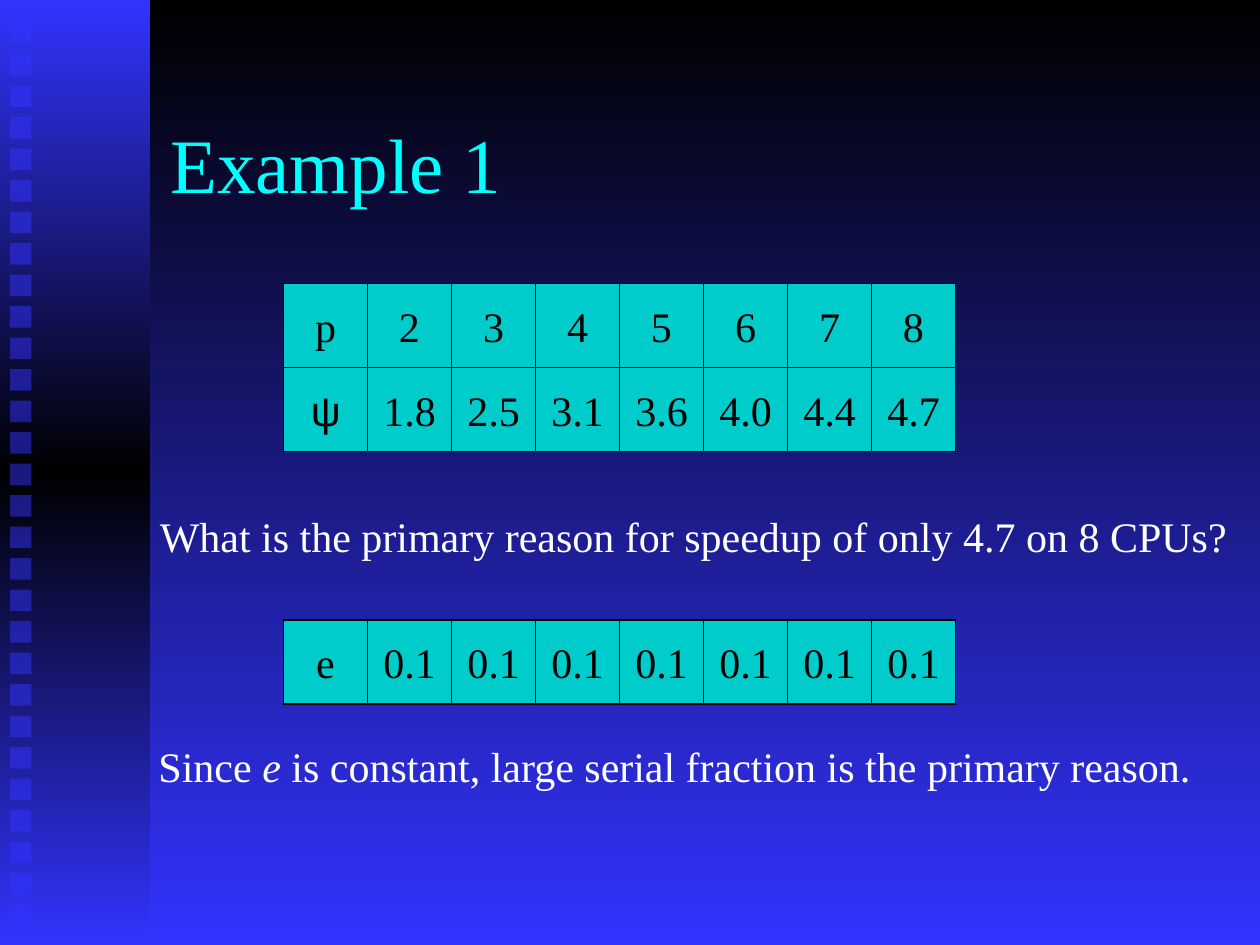
import dataclasses

import pptx
import pptx.dml.color
import pptx.enum.shapes
import pptx.enum.text
import pptx.oxml
import pptx.oxml.ns
import pptx.oxml.xmlchemy
import pptx.util

Inches = pptx.util.Inches
RGBColor = pptx.dml.color.RGBColor
Align = pptx.enum.text.PP_ALIGN
Anchor = pptx.enum.text.MSO_ANCHOR
AutoSize = pptx.enum.text.MSO_AUTO_SIZE

BLACK = RGBColor(0x00, 0x00, 0x00)
WHITE = RGBColor(0xFF, 0xFF, 0xFF)
BLUE = RGBColor(0x33, 0x33, 0xFF)
CYAN = RGBColor(0x00, 0xFF, 0xFF)
TEAL = RGBColor(0x00, 0xCC, 0xCC)

SERIF = "Times New Roman"
CELL_SIZE = 2 / 3
GRID_LEFT = 2.25
SQUARE_COUNT = 30
SQUARE_PITCH = 0.25


@dataclasses.dataclass(frozen=True)
class Row:
    top: float
    values: tuple[str, ...]


@dataclasses.dataclass(frozen=True)
class Label:
    left: float
    top: float
    width: float
    spans: tuple[str, ...]
    font: str = SERIF
    color: RGBColor = WHITE


# The empty first cell of the speedup row carries the separate ψ label.
ROWS = (
    Row(2.25, ("p", "2", "3", "4", "5", "6", "7", "8")),
    Row(2.25 + CELL_SIZE, ("", "1.8", "2.5", "3.1", "3.6", "4.0", "4.4", "4.7")),
    Row(4.92, ("e",) + ("0.1",) * 7),
)

LABELS = (
    Label(2.37, 3, 0.43, ("ψ",), "Arial", BLACK),
    Label(1.17, 4, 8.67,
          ("What is the primary reason for speedup of only 4.7 on 8 CPUs?",)),
    Label(1.16, 5.83, 8.4,
          ("Since ", "e", " is constant, large serial fraction is the primary reason.")),
)


def write_text(box, *spans: str, size: float = 24, font: str = SERIF,
               color: RGBColor = BLACK, align=Align.LEFT, anchor=Anchor.TOP,
               wrap: bool = False, auto_size=AutoSize.NONE) -> None:
    """Fill the box with one paragraph; every second span is italic."""
    frame = box.text_frame
    frame.word_wrap = wrap
    frame.auto_size = auto_size
    frame.vertical_anchor = anchor
    para = frame.paragraphs[0]
    para.alignment = align
    for index, text in enumerate(spans):
        span = para.add_run()
        span.text = text
        span.font.size = pptx.util.Pt(size)
        span.font.name = font
        span.font.color.rgb = color
        span.font.italic = index % 2 == 1


def fill_downward(fill, element, *colors: RGBColor) -> None:
    """Give the element a top-to-bottom gradient with evenly spaced stops."""
    fill.gradient()
    fill.gradient_angle = 270
    stops = element.xpath(".//a:gsLst")[0]
    for stop in list(stops):
        stops.remove(stop)
    for index, color in enumerate(colors):
        stop = pptx.oxml.xmlchemy.OxmlElement("a:gs")
        stop.set("pos", str(100000 * index // (len(colors) - 1)))
        value = pptx.oxml.xmlchemy.OxmlElement("a:srgbClr")
        value.set("val", str(color))
        stop.append(value)
        stops.append(stop)


def add_rectangle(page, left: float, top: float, width: float, height: float):
    box = page.shapes.add_shape(
        pptx.enum.shapes.MSO_SHAPE.RECTANGLE,
        Inches(left), Inches(top), Inches(width), Inches(height))
    box.shadow.inherit = False
    box.line.fill.background()
    return box


def add_side_band(page) -> None:
    band = add_rectangle(page, 0, 0, 1.19, 7.5)
    fill_downward(band.fill, band._element, BLUE, BLACK, BLUE)
    for index in range(SQUARE_COUNT):
        square = add_rectangle(page, 0.08, 0.18 + index * SQUARE_PITCH, 0.17, 0.17)
        square.fill.solid()
        square.fill.fore_color.rgb = BLUE
        alpha = pptx.oxml.xmlchemy.OxmlElement("a:alpha")
        alpha.set("val", "50000")
        square._element.xpath("./p:spPr/a:solidFill/a:srgbClr")[0].append(alpha)


def add_row(page, row: Row) -> None:
    for column, value in enumerate(row.values):
        cell = add_rectangle(page, GRID_LEFT + column * CELL_SIZE, row.top,
                             CELL_SIZE, CELL_SIZE)
        cell.fill.solid()
        cell.fill.fore_color.rgb = TEAL
        cell.line.color.rgb = BLACK
        cell.line.width = pptx.util.Pt(0.75)
        if value:
            write_text(cell, value, align=Align.CENTER, anchor=Anchor.MIDDLE)


def add_label(page, label: Label) -> None:
    box = page.shapes.add_textbox(Inches(label.left), Inches(label.top),
                                  Inches(label.width), Inches(0.5))
    write_text(box, *label.spans, font=label.font, color=label.color,
               auto_size=AutoSize.SHAPE_TO_FIT_TEXT)


def main() -> None:
    deck = pptx.Presentation()
    deck.slide_width = Inches(10)
    deck.slide_height = Inches(7.5)
    page = deck.slides.add_slide(deck.slide_layouts[5])
    fill_downward(page.background.fill, page._element, BLACK, BLUE)

    add_side_band(page)
    title = page.shapes.title
    title.left, title.top = Inches(1.25), Inches(0.67)
    title.width, title.height = Inches(8.5), Inches(1.25)
    write_text(title, "Example 1", size=44, color=CYAN,
               anchor=Anchor.MIDDLE, wrap=True)
    for row in ROWS:
        add_row(page, row)
    for label in LABELS:
        add_label(page, label)

    deck.save("out.pptx")


if __name__ == "__main__":
    main()
